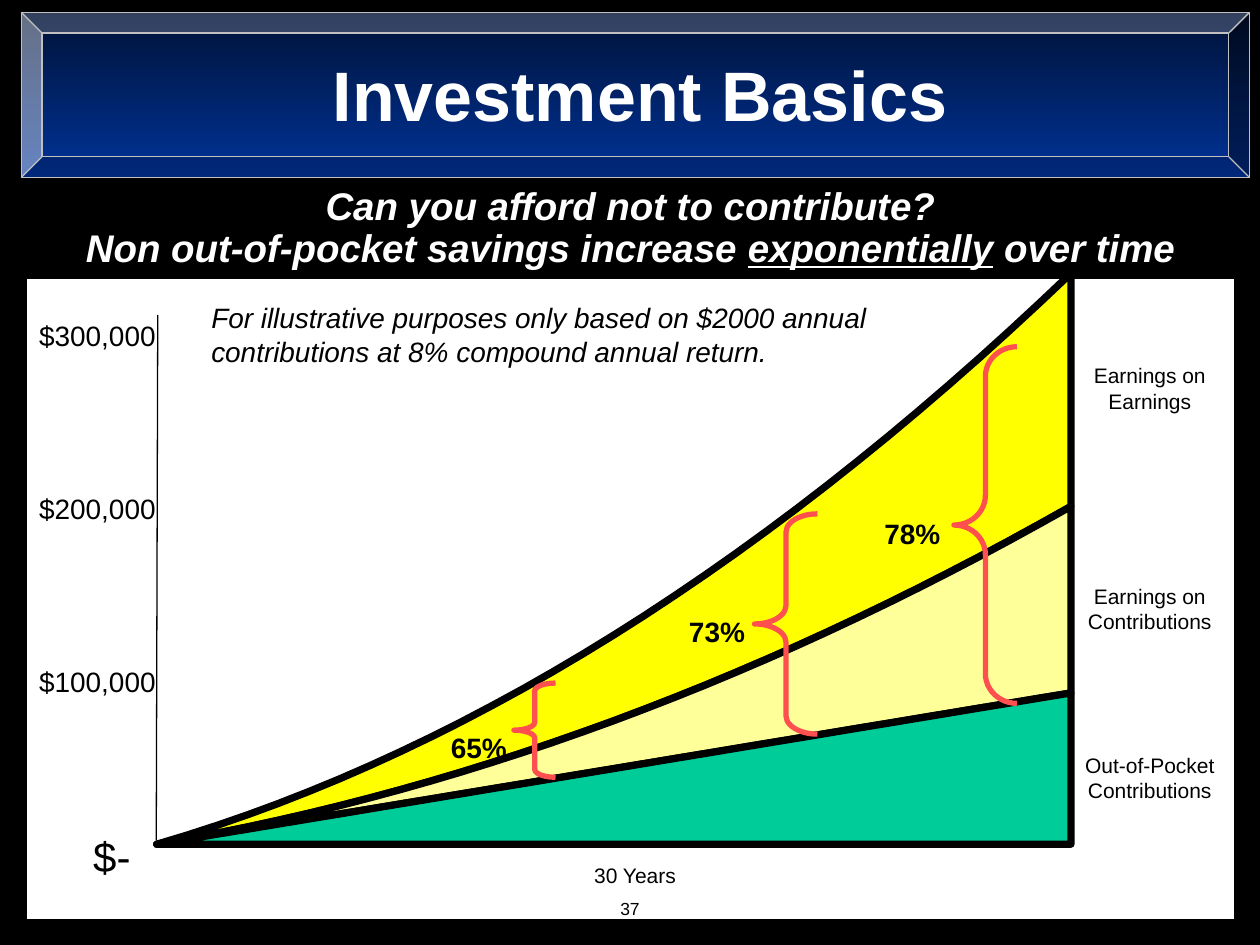
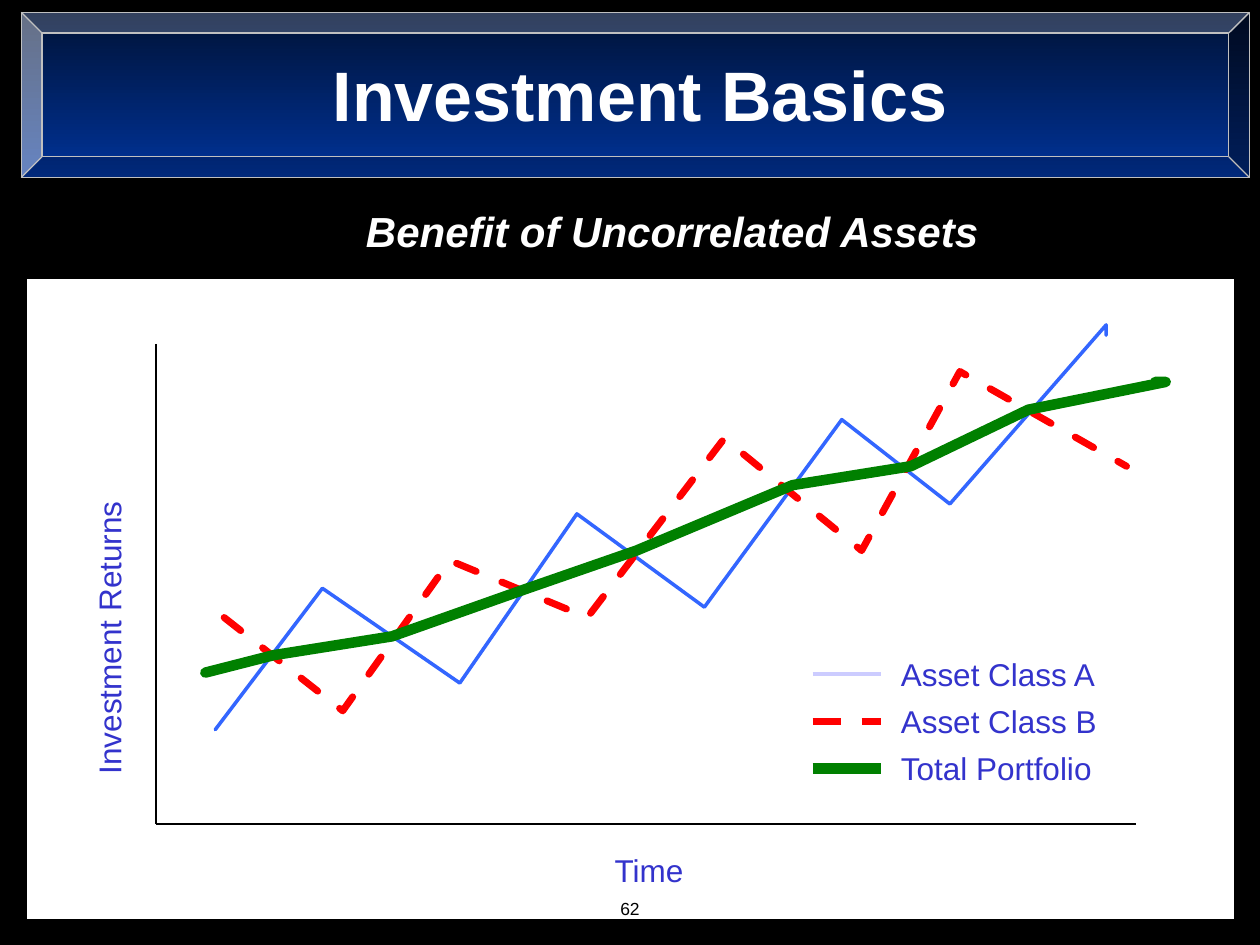
from lxml import etree
from pptx import Presentation
from pptx import util as u
from pptx.dml.color import RGBColor
from pptx.enum import dml, shapes, text
from pptx.oxml import ns

BLACK, WHITE, NAVY, BLUE = "000000", "FFFFFF", "001236", "003399"
SILVER, CORAL, INDIGO = "C0C0C0", "FF5050", "3333CC"
LEFT, CENTER = text.PP_ALIGN.LEFT, text.PP_ALIGN.CENTER
rgb = RGBColor.from_string


def write(slide, box, words, size, colour=BLACK, bold=False, italic=False,
          align=LEFT, wrap=False, inset=True):
    """Add a text box; box is left, top, width, height in cm."""
    label = slide.shapes.add_textbox(*map(u.Cm, box))
    frame = label.text_frame
    frame.text = words
    frame.word_wrap = wrap
    if not wrap:
        frame.auto_size = text.MSO_AUTO_SIZE.SHAPE_TO_FIT_TEXT
    if not inset:
        frame.margin_left = frame.margin_right = 0
        frame.margin_top = frame.margin_bottom = 0
    paragraph = frame.paragraphs[0]
    paragraph.alignment = align
    for run in paragraph.runs:
        font = run.font
        font.name, font.size = "Arial", u.Pt(size)
        font.bold, font.italic = bold, italic
        font.color.rgb = rgb(colour)
    return label


def paint(shape, line, width, fill=None, dash=False, rounded=False):
    """Set outline and fill, and remove the theme shadow."""
    if fill:
        shape.fill.solid()
        shape.fill.fore_color.rgb = rgb(fill)
    elif hasattr(shape, "fill"):
        shape.fill.background()
    shape.line.color.rgb = rgb(line)
    shape.line.width = u.Pt(width)
    if dash:
        shape.line.dash_style = dml.MSO_LINE.DASH
    properties = shape._element.spPr
    if rounded:
        outline = properties.find(ns.qn("a:ln"))
        outline.set("cap", "rnd")
        etree.SubElement(outline, ns.qn("a:round"))
    etree.SubElement(properties, ns.qn("a:effectLst"))


deck = Presentation()
deck.slide_width, deck.slide_height = u.Cm(25.4), u.Cm(19.05)
backdrop = deck.slide_master.background.fill
backdrop.solid()
backdrop.fore_color.rgb = rgb(BLACK)

# Shared panel, page number and title band
for page in ("37", "62"):
    slide = deck.slides.add_slide(deck.slide_layouts[6])
    panel = slide.shapes.add_shape(
        shapes.MSO_SHAPE.RECTANGLE, *map(u.Cm, (0.43, 5.51, 24.56, 13.13)))
    paint(panel, BLACK, 6, WHITE)
    write(slide, (10.06, 17.98, 5.28, 0.53), page, 10, align=CENTER, wrap=True)

    band = slide.shapes.add_shape(
        shapes.MSO_SHAPE.BEVEL, *map(u.Cm, (0.43, 0.25, 24.76, 3.33)))
    band.adjustments[0] = 0.125
    paint(band, SILVER, 0.75)
    band.fill.gradient()
    band.fill.gradient_angle = 270
    for stop, colour in zip(band.fill.gradient_stops, (NAVY, BLUE)):
        stop.color.rgb = rgb(colour)

    title = write(slide, (6.26, 0.91, 13.28, 1.96), "Investment Basics", 40,
                  WHITE, bold=True, align=CENTER)
    # Text shadow, placed right after the run's fill
    run_fill = title.text_frame.paragraphs[0].runs[0]._r.rPr.find(ns.qn("a:solidFill"))
    effects = etree.Element(ns.qn("a:effectLst"))
    shadow = etree.SubElement(effects, ns.qn("a:outerShdw"),
                              dist="35921", dir="2700000")
    etree.SubElement(shadow, ns.qn("a:srgbClr"), val=BLACK)
    run_fill.addnext(effects)

growth, assets = deck.slides

# Growth slide: bands between curves rise = a*t + b*t*t, in cm
YEARS, START, END, BASE = 30, 3.16, 21.59, 17.02
curves = []
for a, b in ((5.36, 6.15), (3.15, 3.66), (3.05, 0), (0, 0)):
    curve = []
    for year in range(YEARS + 1):
        t = year / YEARS
        curve.append((u.Cm(START + (END - START) * t),
                      u.Cm(BASE - a * t - b * t * t)))
    curves.append(curve)
for upper, lower, colour in zip(curves, curves[1:], ("FFFF00", "FFFF99", "00CC99")):
    outline = upper + lower[::-1]
    builder = growth.shapes.build_freeform(*outline[0])
    builder.add_line_segments(outline[1:], close=True)
    paint(builder.convert_to_shape(), BLACK, 4.14, colour, rounded=True)

# Braces with the share that is not out of pocket
for brace_box, share, corner in (
        ((19.23, 6.99, 1.27, 7.19), "78%", (17.58, 10.29)),
        ((15.21, 10.36, 1.27, 4.44), "73%", (13.64, 12.27)),
        ((10.36, 13.77, 0.84, 1.9), "65%", (8.84, 14.61))):
    brace = growth.shapes.add_shape(shapes.MSO_SHAPE.LEFT_BRACE, *map(u.Cm, brace_box))
    brace.adjustments[0] = brace_box[3] / 12 / brace_box[2]
    paint(brace, CORAL, 3)
    write(growth, (*corner, 1.63, 0.94), share, 16, bold=True)

# Axis and its labels
money_axis = growth.shapes.add_connector(
    shapes.MSO_CONNECTOR.STRAIGHT, *map(u.Cm, (3.15, 16.94, 3.18, 6.35)))
paint(money_axis, BLACK, 0.75)
write(growth, (1.63, 16.61, 1.4, 1.27), "$-", 24)
write(growth, (11.73, 17.27, 2.18, 0.76), "30 Years", 12)
for step, amount in enumerate(("$100,000", "$200,000", "$300,000")):
    write(growth, (0.79, 13.39 - 3.48 * step, 2.36, 0.69), amount, 16, inset=False)

# Band names
for top, name in ((15.04, "Out-of-Pocket Contributions"),
                  (7.19, "Earnings on Earnings"),
                  (11.63, "Earnings on Contributions")):
    write(growth, (21.59, top, 3.18, 1.27), name, 12, align=CENTER, wrap=True)

# Note and headline
note = write(growth, (4.01, 6.05, 14.81, 1.37),
             "For illustrative purposes only based on $2000 annual "
             "contributions at 8% compound annual return.",
             16, italic=True, wrap=True)
note.text_frame.vertical_anchor = text.MSO_ANCHOR.MIDDLE
headline = write(growth, (0.43, 3.66, 24.56, 1.93), "", 22, align=CENTER, wrap=True)
sentence = headline.text_frame.paragraphs[0]
sentence.text = ("Can you afford not to contribute?\v"
                 "Non out-of-pocket savings increase ")
sentence.line_spacing = 0.9
for words in ("exponentially", " over time"):
    sentence.add_run().text = words
for run in sentence.runs:
    run.font.name, run.font.size = "Arial", u.Pt(22)
    run.font.bold = run.font.italic = True
    run.font.underline = run.text == "exponentially"
    run.font.color.rgb = rgb(WHITE)

# Assets slide: headline, axes and axis names
benefit = write(assets, (3.81, 4.01, 19.48, 1.27), "Benefit of Uncorrelated Assets",
                24, WHITE, bold=True, italic=True, align=CENTER, wrap=True)
benefit.text_frame.vertical_anchor = text.MSO_ANCHOR.BOTTOM
write(assets, (12.14, 17.04, 1.95, 1.02), "Time", 18, INDIGO)
returns = write(assets, (-0.81, 12.34, 6.02, 1.02), "Investment Returns", 18, INDIGO)
returns.rotation = 270
for ends in ((3.15, 6.93, 3.15, 16.61), (3.15, 16.61, 22.91, 16.61)):
    axis = assets.shapes.add_connector(shapes.MSO_CONNECTOR.STRAIGHT, *map(u.Cm, ends))
    paint(axis, BLACK, 1)

# Return paths, each with its legend entry
class_a = [(4.34, 14.71), (6.5, 11.86), (9.27, 13.77), (11.63, 10.36), (14.2, 12.24),
           (16.97, 8.46), (19.15, 10.16), (22.3, 6.55), (22.3, 6.76)]
class_b = [(4.52, 12.45), (6.91, 14.33), (9.07, 11.3), (11.84, 12.45),
           (14.6, 8.84), (17.37, 11.1), (19.35, 7.49), (22.71, 9.4)]
portfolio = [(4.14, 13.56), (5.51, 13.21), (7.9, 12.83), (10.64, 11.86), (12.83, 11.1),
             (15.98, 9.78), (18.36, 9.4), (20.73, 8.26), (23.5, 7.7), (23.29, 7.7)]
for row, (name, route, colour, key_colour, width, dash) in enumerate((
        ("Asset Class A", class_a, "3366FF", "CCCCFF", 2, False),
        ("Asset Class B", class_b, "FF0000", "FF0000", 4, True),
        ("Total Portfolio", portfolio, "008000", "008000", 6, False))):
    points = [(u.Cm(x), u.Cm(y)) for x, y in route]
    builder = assets.shapes.build_freeform(*points[0])
    builder.add_line_segments(points[1:], close=False)
    paint(builder.convert_to_shape(), colour, width, dash=dash, rounded=True)

    drop = 0.95 * row
    key = assets.shapes.add_connector(
        shapes.MSO_CONNECTOR.STRAIGHT,
        *map(u.Cm, (16.38, 13.59 + drop, 17.75, 13.59 + drop)))
    paint(key, key_colour, width, dash=dash)
    write(assets, (17.91, 13.08 + drop, 4.47, 1.02), name, 18, INDIGO)

deck.save("out.pptx")
